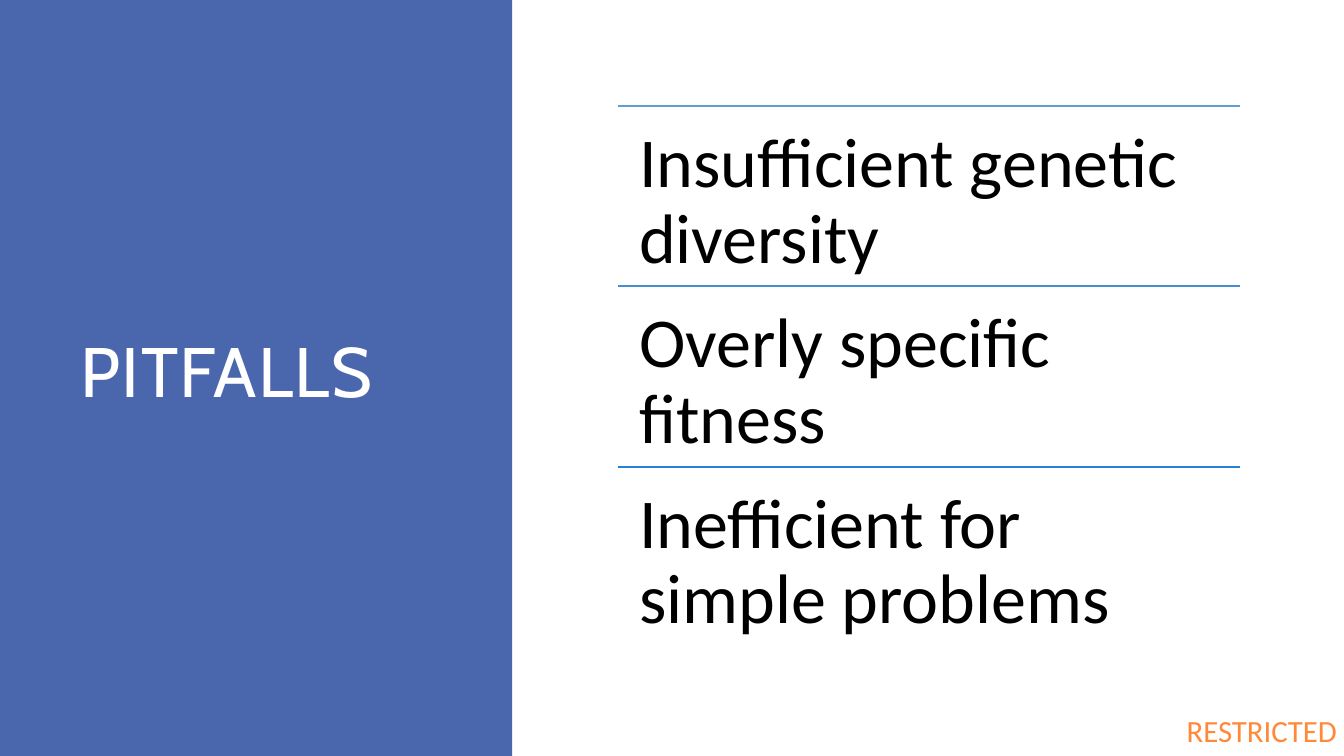
from lxml.etree import SubElement
from pptx import Presentation
from pptx.dml.color import RGBColor
from pptx.enum.shapes import MSO_CONNECTOR, MSO_SHAPE
from pptx.enum.text import MSO_ANCHOR
from pptx.oxml.ns import qn
from pptx.util import Inches, Pt

BLUE = RGBColor(0x4A, 0x66, 0xAC)
WHITE = RGBColor(0xFF, 0xFF, 0xFF)
BLACK = RGBColor(0, 0, 0)
ORANGE = RGBColor(0xFF, 0x89, 0x39)

TITLE = "PITFALLS"
LABEL = "RESTRICTED"
PITFALLS = [
    ("Insufficient genetic diversity", RGBColor(0x62, 0x9D, 0xD1)),
    ("Overly specific fitness", RGBColor(0x46, 0x8E, 0xD2)),
    ("Inefficient for simple problems", RGBColor(0x29, 0x7F, 0xD5)),
]

WIDTH, HEIGHT = 13.33, 7.5
PANEL_W = 5.08
LIST_LEFT, LIST_TOP, LIST_W, ROW_H = 6.13, 1.05, 6.17, 1.79

prs = Presentation()
prs.slide_width, prs.slide_height = Inches(WIDTH), Inches(HEIGHT)
slide = prs.slides.add_slide(prs.slide_layouts[6])


def add_text(box, text, size, font, color, inset, spacing=1.0, wrap=True):
    tf = slide.shapes.add_textbox(*map(Inches, box)).text_frame
    tf.word_wrap = wrap
    tf.margin_left = tf.margin_right = Inches(inset[0])
    tf.margin_top = tf.margin_bottom = Inches(inset[1])
    p = tf.paragraphs[0]
    p.text = text
    p.line_spacing = spacing
    p.font.size, p.font.name = Pt(size), font
    p.font.color.rgb = color
    return tf


def add_rule(y, color):
    line = slide.shapes.add_connector(
        MSO_CONNECTOR.STRAIGHT,
        Inches(LIST_LEFT), Inches(y), Inches(LIST_LEFT + LIST_W), Inches(y))
    line.line.color.rgb = color
    line.line.width = Pt(1.25)
    SubElement(line._element.spPr, qn("a:effectLst"))


add_text((11.77, 7.06, 1.57, 0.37), LABEL, 22, "Calibri", ORANGE, (0, 0), wrap=False)

panel = slide.shapes.add_shape(
    MSO_SHAPE.RECTANGLE, 0, 0, Inches(PANEL_W), Inches(HEIGHT))
panel.shadow.inherit = False
panel.fill.solid()
panel.fill.fore_color.rgb = BLUE
panel.line.fill.background()

title = add_text((0.7, 0.7, 3.74, 6.09), TITLE, 50, "Cabin", WHITE, (0.1, 0.05), 0.8)
title.vertical_anchor = MSO_ANCHOR.MIDDLE
title.paragraphs[0].runs[0].font._element.set("spc", "100")

for row, (text, color) in enumerate(PITFALLS):
    y = LIST_TOP + row * ROW_H
    add_rule(y, color)
    add_text((LIST_LEFT, y, LIST_W, ROW_H), text, 50, "Calibri", BLACK, (0.21, 0.21), 0.9)

prs.save("out.pptx")
